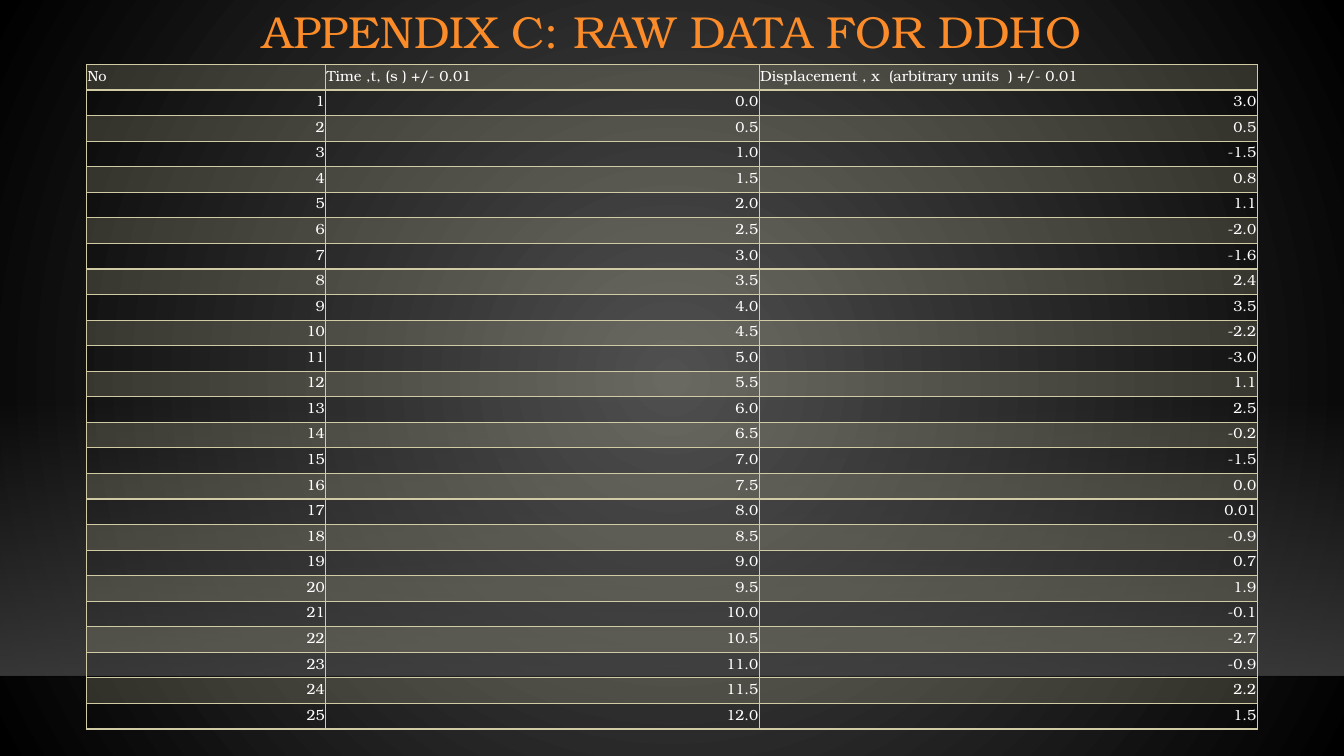
from typing import NamedTuple

from lxml import etree
from pptx import Presentation
from pptx.dml.color import RGBColor
from pptx.enum.shapes import MSO_CONNECTOR, MSO_SHAPE
from pptx.enum.text import MSO_ANCHOR, MSO_AUTO_SIZE, PP_ALIGN
from pptx.oxml.ns import qn
from pptx.util import Emu, Pt

PX = 9144  # EMU per px, 100 px to the inch
FONT = "TeX Gyre Bonum"

ORANGE = RGBColor(0xFB, 0x8C, 0x29)
WHITE = RGBColor(0xFF, 0xFF, 0xFF)
SAND = RGBColor(0xD0, 0xCB, 0xA5)
GLOW = RGBColor(0x50, 0x50, 0x50)
FLOOR_GREY = RGBColor(0x45, 0x45, 0x45)
BLACK = RGBColor(0x00, 0x00, 0x00)
HORIZON_BLACK = RGBColor(0x00, 0x00, 0x01)

RECTANGLE = MSO_SHAPE.RECTANGLE
STRAIGHT = MSO_CONNECTOR.STRAIGHT
MIDDLE, BOTTOM = MSO_ANCHOR.MIDDLE, MSO_ANCHOR.BOTTOM
LEFT, CENTER, RIGHT = PP_ALIGN.LEFT, PP_ALIGN.CENTER, PP_ALIGN.RIGHT
NO_AUTOFIT = MSO_AUTO_SIZE.NONE

SLIDE_WIDTH, SLIDE_HEIGHT = 1333, 750
HORIZON_Y = 671
COLUMN_WIDTHS = (237, 430, 494)
ROW_HEIGHT = 22
TIME_STEP = 0.5

HEADINGS = ("No", "Time ,t, (s ) +/- 0.01",
            "Displacement , x  (arbitrary units  ) +/- 0.01")
DISPLACEMENTS = (
    "3.0", "0.5", "-1.5", "0.8", "1.1", "-2.0", "-1.6", "2.4", "3.5",
    "-2.2", "-3.0", "1.1", "2.5", "-0.2", "-1.5", "0.0", "0.01", "-0.9",
    "0.7", "1.9", "-0.1", "-2.7", "-0.9", "2.2", "1.5",
)


class Reading(NamedTuple):
    number: str
    time: str
    displacement: str


def px(length: int) -> Emu:
    return Emu(length * PX)


def set_opacity(color_element, percent: int) -> None:
    alpha = etree.SubElement(color_element, qn("a:alpha"))
    alpha.set("val", str(percent * 1000))


def set_gradient(fill, start: RGBColor, end: RGBColor) -> None:
    fill.gradient()
    for stop, color, position in zip(fill.gradient_stops, (start, end), (0, 1)):
        stop.color.rgb = color
        stop.position = position


def paint_background(slide) -> None:
    set_gradient(slide.background.fill, GLOW, BLACK)
    gradient = next(slide.element.iter(qn("a:gradFill")))
    gradient.remove(gradient.find(qn("a:lin")))
    circle = etree.SubElement(gradient, qn("a:path"), {"path": "circle"})
    etree.SubElement(circle, qn("a:fillToRect"),
                     {side: "50000" for side in "ltrb"})


def add_floor(slide) -> None:
    floor = slide.shapes.add_shape(
        RECTANGLE, px(0), px(396), px(SLIDE_WIDTH), px(274))
    floor.shadow.inherit = False
    floor.line.fill.background()
    set_gradient(floor.fill, FLOOR_GREY, FLOOR_GREY)
    floor.fill.gradient_angle = 270
    for color, opacity in zip(floor.element.spPr.iter(qn("a:srgbClr")), (0, 80)):
        set_opacity(color, opacity)

    horizon = slide.shapes.add_connector(
        STRAIGHT, px(0), px(HORIZON_Y), px(SLIDE_WIDTH), px(HORIZON_Y))
    horizon.line.color.rgb = HORIZON_BLACK
    horizon.line.width = Pt(1)
    properties = horizon.element.spPr
    set_opacity(next(properties.iter(qn("a:srgbClr"))), 20)
    etree.SubElement(properties, qn("a:effectLst"))


def format_title(slide) -> None:
    title = slide.shapes.title
    title.left, title.top = px(159), px(-24)
    title.width, title.height = px(1016), px(115)
    frame = title.text_frame
    frame.text = "APPENDIX C: RAW DATA FOR DDHO"
    frame.word_wrap = True
    frame.auto_size = NO_AUTOFIT
    frame.vertical_anchor = MIDDLE
    heading = frame.paragraphs[0]
    heading.alignment = CENTER
    heading.line_spacing = 0.9
    heading.font.name = FONT
    heading.font.size = Pt(32)
    heading.font.bold = False
    heading.font.color.rgb = ORANGE


def add_borders(cell) -> None:
    properties = cell._tc.get_or_add_tcPr()
    for side in "LRTB":
        border = etree.SubElement(
            properties, qn(f"a:ln{side}"), {"w": str(Pt(1))})
        solid = etree.SubElement(border, qn("a:solidFill"))
        etree.SubElement(solid, qn("a:srgbClr"), {"val": str(SAND)})


def fill_cell(cell, text: str, alignment: PP_ALIGN, banded: bool) -> None:
    add_borders(cell)
    if banded:
        cell.fill.solid()
        cell.fill.fore_color.rgb = SAND
        band = cell._tc.tcPr.find(qn("a:solidFill"))
        set_opacity(band.find(qn("a:srgbClr")), 20)
    else:
        cell.fill.background()
    cell.margin_left = cell.margin_top = cell.margin_right = px(1)
    cell.margin_bottom = px(5)
    cell.vertical_anchor = BOTTOM
    cell.text = text
    entry = cell.text_frame.paragraphs[0]
    entry.alignment = alignment
    entry.font.name = FONT
    entry.font.size = Pt(10.5)
    entry.font.bold = False
    entry.font.color.rgb = WHITE


def add_readings(slide, readings: list[Reading]) -> None:
    rows = [HEADINGS, *readings]
    table = slide.shapes.add_table(
        len(rows), len(HEADINGS), px(86), px(64),
        px(sum(COLUMN_WIDTHS)), px(ROW_HEIGHT * len(rows))).table
    table.first_row = table.horz_banding = False
    for column, width in zip(table.columns, COLUMN_WIDTHS):
        column.width = px(width)
    for row_index, row in enumerate(rows):
        alignment = RIGHT if row_index else LEFT
        for column_index, text in enumerate(row):
            fill_cell(table.cell(row_index, column_index), text,
                      alignment, banded=row_index % 2 == 0)


def main() -> None:
    presentation = Presentation()
    presentation.slide_width = px(SLIDE_WIDTH)
    presentation.slide_height = px(SLIDE_HEIGHT)
    slide = presentation.slides.add_slide(presentation.slide_layouts[5])

    # Backdrop
    paint_background(slide)
    add_floor(slide)

    # Title and raw data
    format_title(slide)
    readings = [
        Reading(str(index + 1), f"{index * TIME_STEP:.1f}", displacement)
        for index, displacement in enumerate(DISPLACEMENTS)
    ]
    add_readings(slide, readings)

    presentation.save("out.pptx")


if __name__ == "__main__":
    main()
